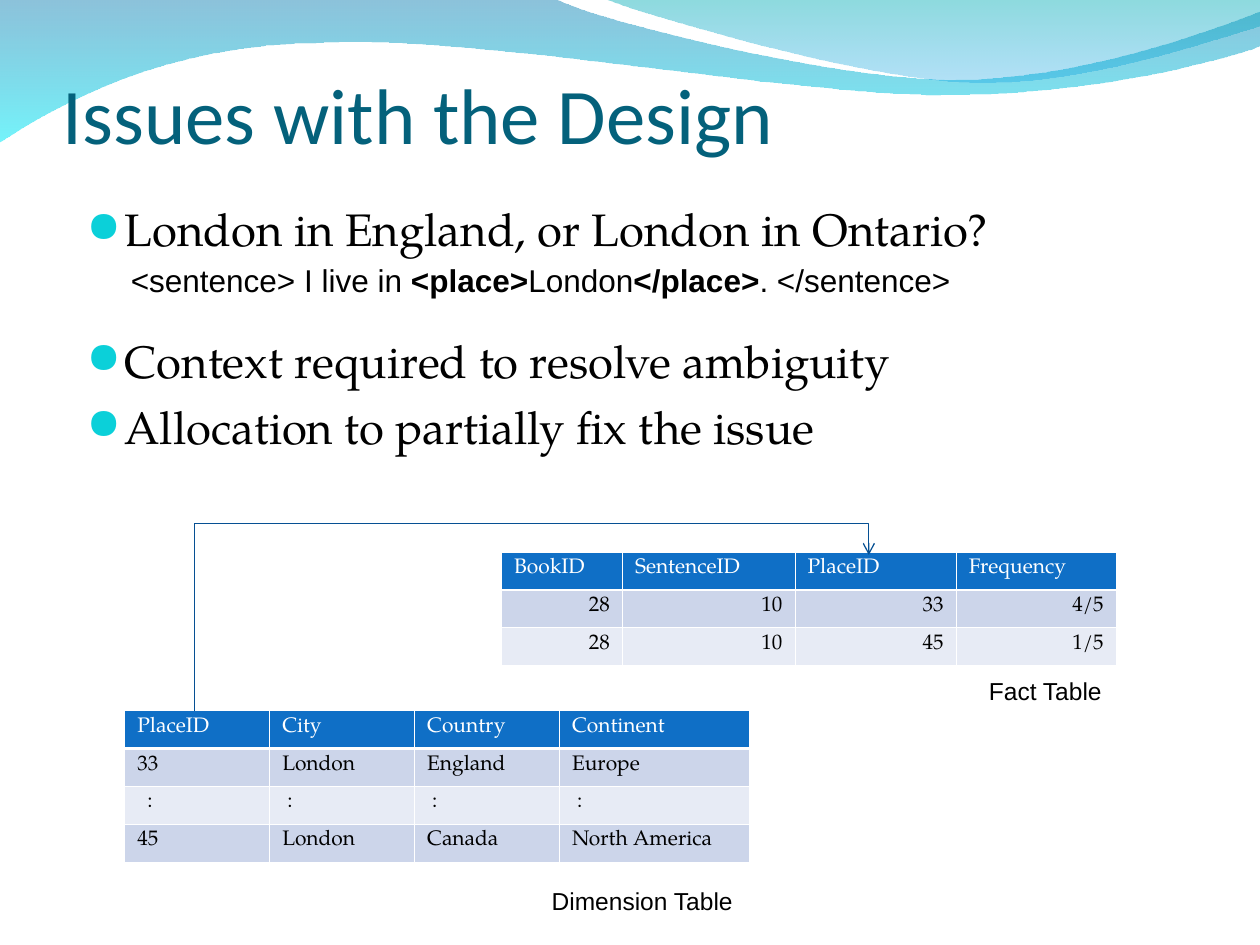
from lxml.etree import SubElement
from pptx import Presentation
from pptx.dml.color import RGBColor
from pptx.enum.shapes import MSO_CONNECTOR
from pptx.enum.text import MSO_ANCHOR, PP_ALIGN
from pptx.oxml.ns import qn
from pptx.util import Inches, Pt

# Content
TITLE = "Issues with the Design"
POINTS = [  # text, space before
    ("London in England, or London in Ontario?", 6.5),
    ("Context required to resolve ambiguity", 44),
    ("Allocation to partially fix the issue", 6.5),
]
SAMPLE = [("<sentence> I live in ", False), ("<place>", True), ("London", False),
          ("</place>", True), (". </sentence>", False)]
PLACES = [
    ["PlaceID", "City", "Country", "Continent"],
    ["33", "London", "England", "Europe"],
    [":", ":", ":", ":"],
    ["45", "London", "Canada", "North America"],
]
FACTS = [
    ["BookID", "SentenceID", "PlaceID", "Frequency"],
    ["28", "10", "33", "4/5"],
    ["28", "10", "45", "1/5"],
]
LABELS = [("Fact Table", (7.75, 5.32, 1.15, 0.34)),
          ("Dimension Table", (4.28, 6.98, 1.7, 0.34))]

# Look
HUES = {"title": "04617B", "text": "000000", "dot": "0BD0D9", "head": "0F6FC6",
        "odd": "CCD5EA", "even": "E7EBF5", "white": "FFFFFF", "link": "065093"}
SERIF, SANS, HEAD, DOT = "TeX Gyre Pagella", "Arial", "Calibri", "OpenSymbol"
ROW = 0.3

# Waves: start, then legs of one point (line) or three (curve); stops hold hue and opacity
WAVES = [
    ((0, -0.01), [
        [(4.4, -0.01)],
        [(4.76, 0.17), (6.64, 0.63), (7.58, 0.63)],
        [(8.53, 0.63), (9.58, 0.26), (10, 0.09)],
        [(10.01, 0.36)],
        [(9.83, 0.44), (8.7, 0.76), (7.46, 0.75)],
        [(6.22, 0.75), (3.82, 0.28), (2.57, 0.34)],
        [(1.29, 0.35), (0.46, 0.83), (-0.01, 1.13)],
    ], [("0079AF", 45), ("00EBF8", 55)]),
    ((4.79, -0.01), [
        [(5.09, 0.11), (6.82, 0.62), (7.69, 0.65)],
        [(8.56, 0.69), (9.61, 0.32), (10, 0.21)],
        [(10, 0)],
    ], [("00ADB6", 45), ("009BE5", 30)]),
]

deck = Presentation()
deck.slide_width, deck.slide_height = Inches(10), Inches(7.5)
slide = deck.slides.add_slide(deck.slide_layouts[6])


def rgb(name):
    return RGBColor.from_string(HUES[name])


def style(font, face, size, hue="text"):
    font.name, font.size = face, Pt(size)
    font.color.rgb = rgb(hue)


def bend(shape, legs):
    """Join each run of three line steps that forms a curve."""
    steps = iter(list(shape._element.iter(qn("a:lnTo"))))
    for leg in legs:
        first, *more = [next(steps) for _ in leg]
        if more:
            first.tag = qn("a:cubicBezTo")
            for step in more:
                first.append(step[0])
                step.getparent().remove(step)


def wave(start, legs, stops):
    pen, *rest = [(Inches(x), Inches(y))
                  for x, y in [start, *(p for leg in legs for p in leg)]]
    maker = slide.shapes.build_freeform(*pen)
    maker.add_line_segments(rest, close=True)
    shape = maker.convert_to_shape()
    bend(shape, legs)
    shape.shadow.inherit = False
    shape.line.fill.background()
    shape.fill.gradient()
    shape.fill.gradient_angle = 270
    for stop, (hue, _) in zip(shape.fill.gradient_stops, stops):
        stop.color.rgb = RGBColor.from_string(hue)
    for node, (_, share) in zip(shape._element.iter(qn("a:srgbClr")), stops):
        SubElement(node, qn("a:alpha"), val=str(share * 1000))


def box(area):
    frame = slide.shapes.add_textbox(*map(Inches, area)).text_frame
    frame.word_wrap = True
    return frame


def bullet(para):
    props = para._p.get_or_add_pPr()
    props.set("marL", str(Inches(0.3)))
    props.set("indent", str(-Inches(0.3)))
    SubElement(SubElement(props, qn("a:buClr")), qn("a:srgbClr"), val=HUES["dot"])
    SubElement(props, qn("a:buSzPct"), val="95000")
    SubElement(props, qn("a:buFont"), typeface=DOT)
    SubElement(props, qn("a:buChar"), char="●")


def border(cell, row):
    props = cell._tc.get_or_add_tcPr()
    thick = {0: "lnB", 1: "lnT"}.get(row)
    for side in ("lnL", "lnR", "lnT", "lnB"):
        line = SubElement(props, qn("a:" + side),
                          w=str(Pt(1.47 if side == thick else 0.45)))
        SubElement(SubElement(line, qn("a:solidFill")), qn("a:srgbClr"), val=HUES["white"])


def grid(rows, left, top, widths, align):
    table = slide.shapes.add_table(
        len(rows), len(widths), Inches(left), Inches(top),
        Inches(sum(widths)), Inches(ROW * len(rows))).table
    for col, width in zip(table.columns, widths):
        col.width = Inches(width)
    for r, words in enumerate(rows):
        table.rows[r].height = Inches(ROW)
        for c, word in enumerate(words):
            cell = table.cell(r, c)
            border(cell, r)
            cell.fill.solid()
            cell.fill.fore_color.rgb = rgb("head" if r == 0 else "odd" if r % 2 else "even")
            inset = (0.04 if c else 0.08) if word == ":" else 0
            cell.margin_left = Inches(0.1 + inset)
            para = cell.text_frame.paragraphs[0]
            para.text = word
            para.alignment = align if r else PP_ALIGN.LEFT
            style(para.font, SERIF, 12, "text" if r else "white")


# Backdrop
for item in WAVES:
    wave(*item)

# Title
frame = box((0.5, 0.77, 9, 1.25))
frame.vertical_anchor = MSO_ANCHOR.BOTTOM
frame.margin_left = frame.margin_right = 0
frame.margin_bottom = Inches(0.75)
frame.text = TITLE
style(frame.paragraphs[0].font, HEAD, 45, "title")

# Bullets
frame = box((0.59, 1.55, 8.7, 2.13))
for n, (text, gap) in enumerate(POINTS):
    para = frame.add_paragraph() if n else frame.paragraphs[0]
    para.text = text
    para.space_before = Pt(gap)
    style(para.font, SERIF, 26)
    bullet(para)

# Tagged sentence
para = box((0.94, 2.02, 6.8, 0.4)).paragraphs[0]
style(para.font, SANS, 18)
for text, bold in SAMPLE:
    run = para.add_run()
    run.text, run.font.bold = text, bold

# Tables
grid(PLACES, 0.99, 5.64, [1.15, 1.15, 1.15, 1.51], PP_ALIGN.LEFT)
grid(FACTS, 3.98, 4.38, [0.96, 1.37, 1.28, 1.27], PP_ALIGN.RIGHT)

# Elbow arrow: flipped both ways, turned a quarter, bending above its end
link = slide.shapes.add_connector(
    MSO_CONNECTOR.ELBOW, *map(Inches, (4.84, 7.7, 3.6, 2.35)))
link.line.color.rgb, link.line.width = rgb("link"), Pt(0.75)
props = link._element.spPr
props.find(qn("a:xfrm")).set("rot", "5400000")
SubElement(props.find(qn("a:prstGeom")).find(qn("a:avLst")), qn("a:gd"),
           name="adj1", fmla="val 120200")
SubElement(props.find(qn("a:ln")), qn("a:tailEnd"), type="arrow")
SubElement(props, qn("a:effectLst"))

# Table labels
for text, area in LABELS:
    para = box(area).paragraphs[0]
    para.text = text
    style(para.font, SANS, 14)

deck.save("out.pptx")
